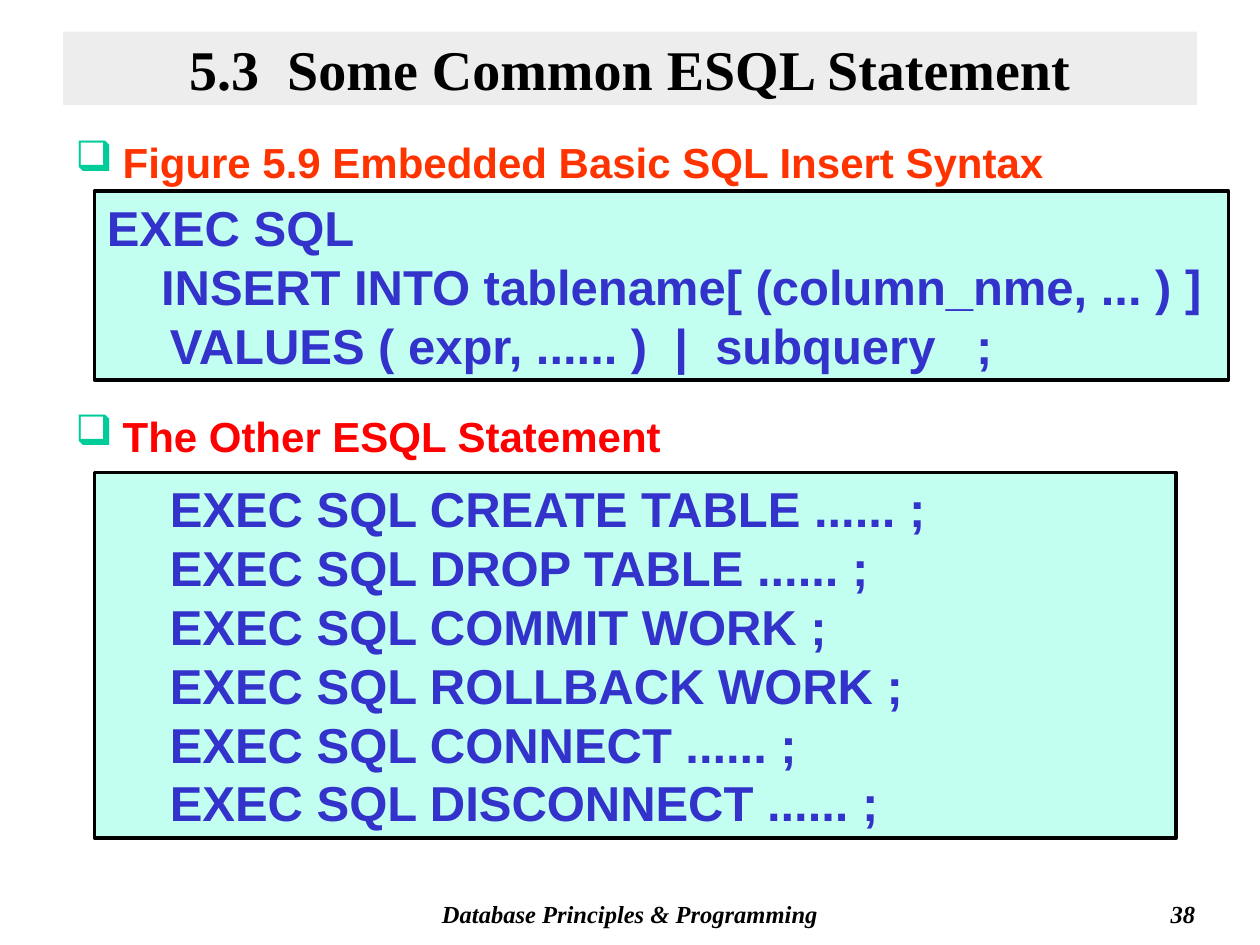
from lxml.etree import SubElement
from pptx import Presentation
from pptx.dml.color import RGBColor
from pptx.enum.shapes import MSO_SHAPE
from pptx.enum.text import MSO_ANCHOR, PP_ALIGN
from pptx.oxml.ns import qn
from pptx.util import Pt


def rgb(value):
    return RGBColor.from_string(value)


def add_text(p, text, size, font, color, italic=False):
    r = p.add_run()
    r.text = text
    r.font.size = Pt(size)
    r.font.name = font
    r.font.bold = True
    r.font.italic = italic
    r.font.color.rgb = rgb(color)


SERIF, SANS = "Times New Roman", "Arial"

prs = Presentation()
prs.slide_width, prs.slide_height = Pt(720), Pt(540)
s = prs.slides.add_slide(prs.slide_layouts[5])

# Title on a half-transparent grey band
title = s.shapes.title
title.left, title.top, title.width, title.height = Pt(36), Pt(18), Pt(648), Pt(42)
title.fill.solid()
title.fill.fore_color.rgb = rgb("DDDDDD")
color = title.fill._xPr.find(qn("a:solidFill"))[0]
SubElement(color, qn("a:alpha"), val="50000")
tf = title.text_frame
tf.vertical_anchor = MSO_ANCHOR.MIDDLE
p = tf.paragraphs[0]
p.alignment = PP_ALIGN.CENTER
add_text(p, "5.3  Some Common ESQL Statement", 32, SERIF, "000000")

# Bulleted headings
headings = [
    ("Figure 5.9 Embedded Basic SQL Insert Syntax", 71.5, 42, "FF3300"),
    ("The Other ESQL Statement", 228, 36, "FF0000"),
]
for text, top, height, color in headings:
    tf = s.shapes.add_textbox(Pt(36), Pt(top), Pt(648), Pt(height)).text_frame
    tf.word_wrap = True
    p = tf.paragraphs[0]
    p.line_spacing = 1.1
    pPr = p._p.get_or_add_pPr()
    pPr.set("marL", str(Pt(27)))
    pPr.set("indent", str(Pt(-27)))
    bullet_color = SubElement(pPr, qn("a:buClr"))
    SubElement(bullet_color, qn("a:srgbClr"), val="00CC99")
    SubElement(pPr, qn("a:buChar"), char="❑")
    add_text(p, text, 24, SANS, color)

# Code boxes: top, width, height, left margin of the code, lines
boxes = [
    (109.25, 648, 108, 0, [
        "EXEC SQL",
        "    INSERT INTO tablename[ (column_nme, ... ) ]",
        "\tVALUES ( expr, ...... )  |  subquery   ;",
    ]),
    (270, 618, 209, 36, [
        "EXEC SQL CREATE TABLE ...... ;",
        "EXEC SQL DROP TABLE ...... ;",
        "EXEC SQL COMMIT WORK ;",
        "EXEC SQL ROLLBACK WORK ;",
        "EXEC SQL CONNECT ...... ;",
        "EXEC SQL DISCONNECT ...... ;",
    ]),
]
for top, width, height, margin, lines in boxes:
    sp = s.shapes.add_shape(MSO_SHAPE.RECTANGLE, Pt(54), Pt(top), Pt(width), Pt(height))
    sp.shadow.inherit = False
    sp.fill.solid()
    sp.fill.fore_color.rgb = rgb("C2FFF0")
    sp.line.color.rgb = rgb("000000")
    sp.line.width = Pt(2)
    tf = sp.text_frame
    tf.word_wrap = True
    tf.vertical_anchor = MSO_ANCHOR.TOP
    for i, line in enumerate(lines):
        p = tf.add_paragraph() if i else tf.paragraphs[0]
        p.alignment = PP_ALIGN.LEFT
        p._p.get_or_add_pPr().set("marL", str(Pt(margin)))
        add_text(p, line, 28, SANS, "3333CC")

# Footer and slide number
footers = [
    ("Database Principles & Programming", 204, 312, PP_ALIGN.CENTER),
    ("38", 540, 150, PP_ALIGN.RIGHT),
]
for text, left, width, align in footers:
    tf = s.shapes.add_textbox(Pt(left), Pt(510), Pt(width), Pt(24)).text_frame
    tf.word_wrap = True
    p = tf.paragraphs[0]
    p.alignment = align
    add_text(p, text, 14, SERIF, "000000", italic=True)

prs.save("out.pptx")
